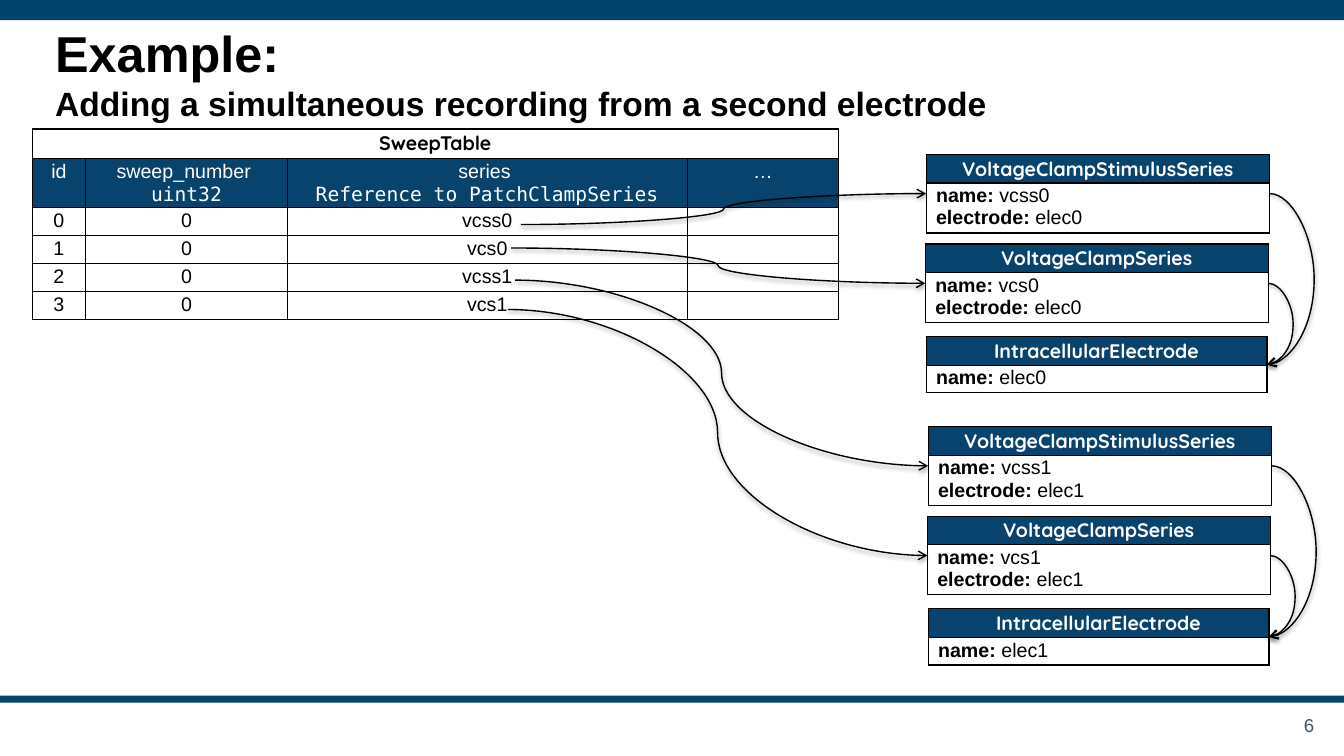
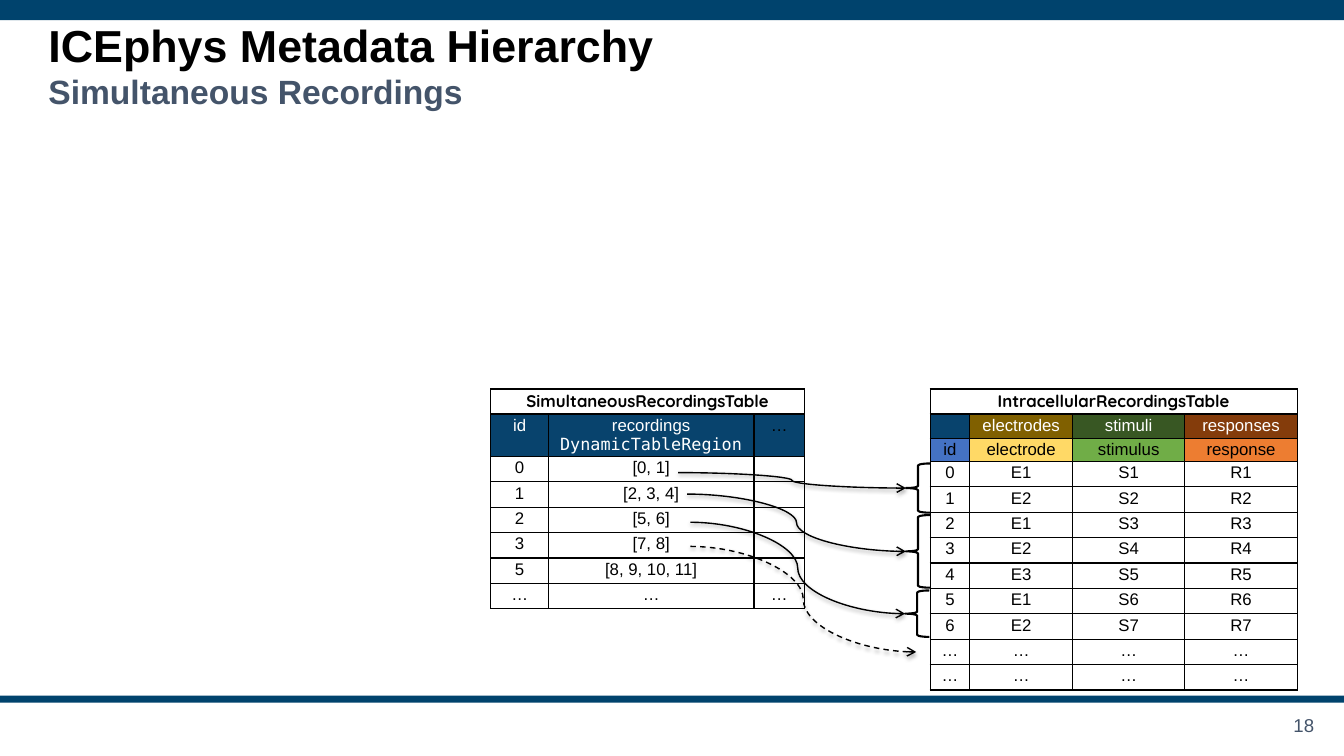
from dataclasses import dataclass, field

from lxml.etree import SubElement
from pptx import Presentation
from pptx.dml.color import RGBColor as Rgb
from pptx.enum.dml import MSO_LINE
from pptx.enum.shapes import MSO_CONNECTOR as Link, MSO_SHAPE as Preset
from pptx.enum.text import MSO_ANCHOR as Anchor, MSO_AUTO_SIZE as AutoSize, PP_ALIGN as Align
from pptx.oxml.ns import qn
from pptx.util import Cm, Pt


@dataclass(frozen=True)
class Theme:
    band: str = "00436D"
    header: str = "08436D"
    black: str = "000000"
    white: str = "FFFFFF"
    slate: str = "44546A"
    electrode_dark: str = "806000"
    stimulus_dark: str = "385723"
    response_dark: str = "843C0B"
    id_light: str = "4472C4"
    electrode_light: str = "FFD966"
    stimulus_light: str = "70AD47"
    response_light: str = "ED7D31"
    body_font: str = "Arial"
    mono_font: str = "DejaVu Sans Mono"
    name_font: str = "Quicksand"
    title_size: float = 36
    small_title_size: float = 32
    subtitle_size: float = 24
    table_size: float = 14
    small_table_size: float = 12
    number_size: float = 13.3


THEME = Theme()
MONO = {"name": THEME.mono_font}
BOLD = {"bold": True}


@dataclass
class Cell:
    """Lines of (text, format) runs, with the look they share."""
    lines: list
    fill: str = None
    look: dict = field(default_factory=dict)
    align: Align = Align.CENTER


def plain(text):
    return Cell([[(text, {})]] if text else [[]])


def named(text, fill, color):
    look = {"name": THEME.name_font, "color": color, "bold": True}
    return Cell([[(text, {})]], fill, look)


def heading(text="", kind="", fill=THEME.header, color=THEME.white):
    lines = [[(text, {})] if text else []] + ([[(kind, MONO)]] if kind else [])
    return Cell(lines, fill, {"color": color})


def fields(values):
    lines = [[(f"{key}: ", BOLD), (value, {})] for key, value in values.items()]
    return Cell(lines, align=Align.LEFT)


def apply(target, values):
    for key, value in values.items():
        setattr(target, key, value)


class Deck:
    def __init__(self, theme):
        self.theme = theme
        self.prs = Presentation()
        apply(self.prs, {"slide_width": Cm(33.87), "slide_height": Cm(19.05)})
        self.layout = self.prs.slide_layouts[5]
        self.slide = None

    # Slide frame: title, number and the bands held by the layout
    def new_slide(self, title, subtitle, number, left, top, size, subtitle_color):
        first = self.slide is None
        self.slide = self.prs.slides.add_slide(self.layout)
        if first:
            self.layout_bands()
        heading_box = self.slide.shapes.title
        self.place(heading_box, left, top, 31.55, 2.13)
        line = self.frame(heading_box, Align.LEFT)
        self.run(line, title, {"size": Pt(size), "bold": True})
        line.add_line_break()
        self.run(line, subtitle, {"size": Pt(self.theme.subtitle_size),
                                  "bold": True, "color": subtitle_color})
        number_box = self.slide.shapes.add_textbox(Cm(31.39), Cm(17.91), Cm(1.98), Cm(0.74))
        self.run(self.frame(number_box, Align.RIGHT), str(number),
                 {"size": Pt(self.theme.number_size), "color": self.theme.slate})

    def layout_bands(self):
        for holder in list(self.layout.placeholders)[1:]:
            holder.element.getparent().remove(holder.element)
        for top, height in ((0, 0.51), (17.53, 0.18)):
            band = self.slide.shapes.add_shape(
                Preset.RECTANGLE, 0, Cm(top), self.prs.slide_width, Cm(height))
            band.shadow.inherit = False
            band.fill.solid()
            band.fill.fore_color.rgb = Rgb.from_string(self.theme.band)
            band.line.fill.background()
            self.layout.shapes.element.append(band.element)

    # Text
    def place(self, shape, left, top, width, height):
        apply(shape, {"left": Cm(left), "top": Cm(top),
                      "width": Cm(width), "height": Cm(height)})

    def frame(self, box, align):
        margins = {f"margin_{side}": Cm(0.25) for side in ("left", "right", "top", "bottom")}
        apply(box.text_frame, {"word_wrap": True, "auto_size": AutoSize.NONE,
                               "vertical_anchor": Anchor.MIDDLE, **margins})
        line = box.text_frame.paragraphs[0]
        line.alignment = align
        return line

    def run(self, line, text, values):
        run = line.add_run()
        run.text = text
        values = {"name": self.theme.body_font, "bold": False,
                  "color": self.theme.black, **values}
        color = values.pop("color")
        apply(run.font, values)
        run.font.color.rgb = Rgb.from_string(color)

    # Tables
    def table(self, left, top, widths, heights, rows, size):
        """A row with one cell spans all columns."""
        grid = self.slide.shapes.add_table(
            len(rows), len(widths), Cm(left), Cm(top),
            Cm(sum(widths)), Cm(sum(heights))).table
        apply(grid, {"first_row": False, "horz_banding": False})
        for column, width in zip(grid.columns, widths):
            column.width = Cm(width)
        for r, (cells, height) in enumerate(zip(rows, heights)):
            grid.rows[r].height = Cm(height)
            if len(cells) < len(widths):
                grid.cell(r, 0).merge(grid.cell(r, len(widths) - 1))
            for c in range(len(widths)):
                content = cells[c] if c < len(cells) else plain("")
                self.fill_cell(grid.cell(r, c), content, size)

    def fill_cell(self, cell, content, size):
        apply(cell, {"margin_left": Cm(0.25), "margin_right": Cm(0.25),
                     "margin_top": Cm(0.05), "margin_bottom": Cm(0.05)})
        text = cell.text_frame
        for i, runs in enumerate(content.lines):
            line = text.add_paragraph() if i else text.paragraphs[0]
            line.alignment = content.align
            for words, extra in runs:
                self.run(line, words, {"size": Pt(size), **content.look, **extra})
            if not runs:
                SubElement(line._p, qn("a:endParaRPr"), sz=str(size * 100))
        props = cell._tc.get_or_add_tcPr()
        for side in ("lnL", "lnR", "lnT", "lnB"):
            border = SubElement(props, qn(f"a:{side}"), w=str(Pt(1)))
            paint = SubElement(border, qn("a:solidFill"))
            SubElement(paint, qn("a:srgbClr"), val=self.theme.black)
        if content.fill:
            cell.fill.solid()
            cell.fill.fore_color.rgb = Rgb.from_string(content.fill)
        else:
            cell.fill.background()

    def card(self, left, top, width, class_name, **values):
        """Draws an object card; returns its left, right and middle height."""
        heights = (0.72, 1.26 if len(values) > 1 else 0.7)
        title = named(class_name, self.theme.header, self.theme.white)
        self.table(left, top, [width], heights, [[title], [fields(values)]],
                   self.theme.table_size)
        return left, left + width, top + sum(heights) / 2

    # Lines and braces
    def arrow(self, start, end, bend=None, dashed=False):
        """Curved arrow; bend is the x position of its turn."""
        curve = self.slide.shapes.add_connector(Link.CURVE, *map(Cm, (*start, *end)))
        curve.line.width = Pt(1)
        curve.line.color.rgb = Rgb.from_string(self.theme.black)
        if dashed:
            curve.line.dash_style = MSO_LINE.DASH
        props = curve.element.spPr
        SubElement(props.find(qn("a:ln")), qn("a:tailEnd"), type="arrow")
        if bend is not None:
            share = (bend - start[0]) / (end[0] - start[0])
            SubElement(props.find(qn("a:prstGeom")).find(qn("a:avLst")), qn("a:gd"),
                       name="adj1", fmla=f"val {round(share * 100000)}")
        shadow = SubElement(SubElement(props, qn("a:effectLst")), qn("a:outerShdw"),
                            blurRad=str(Pt(3.1)), dist=str(Pt(1.6)), dir="5400000",
                            rotWithShape="0")
        tint = SubElement(shadow, qn("a:srgbClr"), val=self.theme.black)
        SubElement(tint, qn("a:alpha"), val="38000")

    def brace(self, left, top, height):
        """Draws a left brace; returns its tip."""
        brace = self.slide.shapes.add_shape(
            Preset.LEFT_BRACE, Cm(left), Cm(top), Cm(0.61), Cm(height))
        brace.shadow.inherit = False
        brace.fill.background()
        brace.line.width = Pt(1.5)
        brace.line.color.rgb = Rgb.from_string(self.theme.black)
        return left, top + height / 2


def sweep_slide(deck):
    deck.new_slide("Example: ", "Adding a simultaneous recording from a second electrode",
                   6, 1.14, 0.76, THEME.title_size, THEME.black)

    # Sweep table
    series = ["vcss0", "vcs0", "vcss1", "vcs1"]
    rows = [[named("SweepTable", THEME.white, THEME.black)],
            [heading("id"), heading("sweep_number ", "uint32"),
             heading("series ", "Reference to PatchClampSeries"), heading("…")]]
    rows += [[plain(str(i)), plain("0"), plain(name), plain("")]
             for i, name in enumerate(series)]
    deck.table(0.81, 3.25, [1.35, 5.08, 10.08, 3.81], [0.75, 1.23] + [0.66] * 4,
               rows, THEME.table_size)

    # One group of cards for each electrode, with its references
    series_ends = [[(13.13, 5.66), (12.88, 6.25)], [(12.98, 7.06), (12.8, 7.8)]]
    for i, (stimulus_end, response_end) in enumerate(series_ends):
        dx, dy, electrode = 0.05 * i, 6.86 * i, f"elec{i}"
        stimulus = deck.card(23.34 + dx, 3.89 + dy, 8.66, "VoltageClampStimulusSeries",
                             name=f"vcss{i}", electrode=electrode)
        response = deck.card(23.32 + dx, 6.15 + dy, 8.64, "VoltageClampSeries",
                             name=f"vcs{i}", electrode=electrode)
        _, target_x, target_y = deck.card(23.34 + dx, 8.48 + dy, 8.59,
                                          "IntracellularElectrode", name=electrode)
        for source, (left, right, middle), bend in (
                (stimulus_end, stimulus, 33.12), (response_end, response, 32.59)):
            deck.arrow(source, (left, middle))
            deck.arrow((right, middle), (target_x, target_y), bend + dx)


def hierarchy_slide(deck):
    deck.new_slide("ICEphys Metadata Hierarchy ", "Simultaneous Recordings",
                   18, 0.97, 0.56, THEME.small_title_size, THEME.slate)

    # Intracellular recordings
    groups = [("", THEME.header), ("electrodes", THEME.electrode_dark),
              ("stimuli", THEME.stimulus_dark), ("responses", THEME.response_dark)]
    columns = [("id", THEME.id_light), ("electrode", THEME.electrode_light),
               ("stimulus", THEME.stimulus_light), ("response", THEME.response_light)]
    electrodes = [1, 2, 1, 2, 3, 1, 2]
    rows = [[named("IntracellularRecordingsTable", THEME.white, THEME.black)],
            [heading(text, fill=fill) for text, fill in groups],
            [heading(text, fill=fill, color=THEME.black) for text, fill in columns]]
    rows += [[plain(text) for text in (str(i), f"E{electrode}", f"S{i + 1}", f"R{i + 1}")]
             for i, electrode in enumerate(electrodes)]
    rows += [[plain("…")] * 4] * 2
    deck.table(23.44, 9.8, [1, 2.59, 2.83, 2.83], [0.63, 0.58, 0.58] + [0.64] * 9,
               rows, THEME.small_table_size)

    # Simultaneous recordings
    recordings = [("0", "[0, 1]"), ("1", "[2, 3, 4]"), ("2", "[5, 6]"),
                  ("3", "[7, 8]"), ("5", "[8, 9, 10, 11]")]
    rows = [[named("SimultaneousRecordingsTable", THEME.white, THEME.black)],
            [heading("id"), heading("recordings", "DynamicTableRegion"),
             heading("…", color=THEME.black)]]
    rows += [[plain(key), plain(region), plain("")] for key, region in recordings]
    rows += [[plain("…")] * 3]
    deck.table(12.37, 9.8, [1.45, 5.18, 1.27], [0.63, 1.07] + [0.64] * 6,
               rows, THEME.small_table_size)

    # Regions and the rows they select
    regions = [((17.09, 11.91), (22.83, 11.68, 1.24)),
               ((17.32, 12.45), (22.83, 12.98, 1.83)),
               ((17.4, 13.16), (22.81, 14.88, 1.17))]
    for source, selected in regions:
        deck.arrow(source, deck.brace(*selected))
    deck.arrow((17.4, 13.77), (23.09, 16.43), dashed=True)


def main():
    deck = Deck(THEME)
    sweep_slide(deck)
    hierarchy_slide(deck)
    deck.prs.save("out.pptx")


if __name__ == "__main__":
    main()
